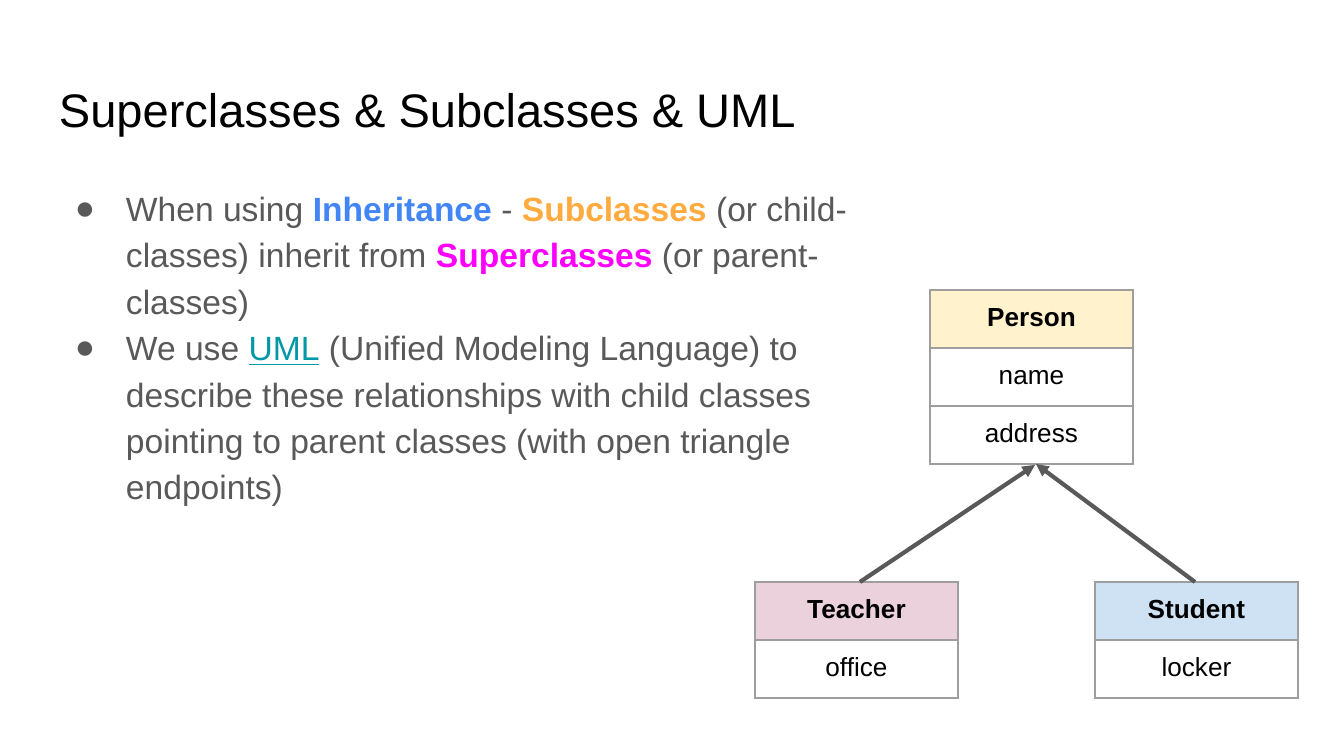
"""Build a slide on superclasses, subclasses and UML class diagrams."""
from lxml.etree import SubElement
from pptx import Presentation
from pptx.dml.color import RGBColor
from pptx.enum.shapes import MSO_CONNECTOR
from pptx.enum.text import MSO_ANCHOR, MSO_AUTO_SIZE, PP_ALIGN
from pptx.oxml.ns import qn
from pptx.util import Emu, Pt

FONT, GREY, BLACK, EDGE = "Arial", "595959", "000000", "9E9E9E"
SCALE = 914400 / 134.4
PAD, WIDE, HIGH = 13, 203, 58

TITLE = "Superclasses & Subclasses & UML"
POINTS = [
    [("When using ", GREY, ""), ("Inheritance", "4285F4", "b"),
     (" - ", GREY, ""), ("Subclasses", "FFAB40", "b"),
     (" (or child-classes) inherit from ", GREY, ""),
     ("Superclasses", "FF00FF", "b"), (" (or parent-classes)", GREY, "")],
    [("We use ", GREY, ""), ("UML", "0097A7", "u"),
     (" (Unified Modeling Language) to describe these relationships with "
      "child classes pointing to parent classes (with open triangle "
      "endpoints)", GREY, "")],
]
CLASSES = [
    (930, 290, "FFF2CC", ["Person", "name", "address"]),
    (1095, 582, "CFE2F3", ["Student", "locker"]),
    (755, 582, "EAD1DC", ["Teacher", "office"]),
]
ARROWS = [(860, 582, 1035, 465), (1195, 582, 1036, 464)]


def px(size):
    return Emu(round(size * SCALE))


def color(code):
    return RGBColor.from_string(code)


def add_run(para, text, size, code, style=""):
    run = para.add_run()
    run.text = text
    font = run.font
    font.name, font.size = FONT, Pt(size)
    font.color.rgb = color(code)
    font.bold, font.underline = "b" in style, "u" in style


def place(holder, left, top, width, height, anchor):
    holder.left, holder.top = px(left), px(top)
    holder.width, holder.height = px(width), px(height)
    frame = holder.text_frame
    frame.auto_size, frame.word_wrap = MSO_AUTO_SIZE.NONE, True
    frame.vertical_anchor = anchor
    frame.margin_left = frame.margin_right = px(PAD)
    frame.margin_top = frame.margin_bottom = px(PAD)
    return frame


def add_bullet(para):
    props = para._p.get_or_add_pPr()
    props.set("marL", str(px(67)))
    props.set("indent", str(px(-51)))
    tint = SubElement(props, qn("a:buClr"))
    SubElement(tint, qn("a:srgbClr"), val=GREY)
    SubElement(props, qn("a:buFont"), typeface=FONT)
    SubElement(props, qn("a:buChar"), char="●")
    para.line_spacing, para.space_before = 1.15, Pt(0)


def add_edges(cell):
    props = cell._tc.get_or_add_tcPr()
    for side in ("lnL", "lnR", "lnT", "lnB"):
        line = SubElement(props, qn(f"a:{side}"), w=str(Pt(0.75)))
        fill = SubElement(line, qn("a:solidFill"))
        SubElement(fill, qn("a:srgbClr"), val=EDGE)


def add_class(slide, left, top, tint, names):
    table = slide.shapes.add_table(
        len(names), 1, px(left), px(top), px(WIDE), px(HIGH * len(names))).table
    table.first_row = table.horz_banding = False
    for row, name in enumerate(names):
        cell = table.cell(row, 0)
        cell.margin_left = cell.margin_right = px(PAD)
        cell.margin_top = cell.margin_bottom = px(PAD)
        add_edges(cell)
        if row == 0:
            cell.fill.solid()
            cell.fill.fore_color.rgb = color(tint)
        else:
            cell.fill.background()
        para = cell.text_frame.paragraphs[0]
        para.alignment = PP_ALIGN.CENTER
        add_run(para, name, 14, BLACK, "" if row else "b")


def add_arrow(slide, *ends):
    arrow = slide.shapes.add_connector(MSO_CONNECTOR.STRAIGHT, *map(px, ends))
    arrow.line.color.rgb, arrow.line.width = color(GREY), Pt(2.25)
    SubElement(arrow.line._get_or_add_ln(), qn("a:tailEnd"), type="triangle")
    SubElement(arrow._element.spPr, qn("a:effectLst"))


def main():
    deck = Presentation()
    deck.slide_width, deck.slide_height = px(1344), px(756)
    slide = deck.slides.add_slide(deck.slide_layouts[1])
    title, body = slide.placeholders

    frame = place(title, 46, 66, 1253, 85, MSO_ANCHOR.MIDDLE)
    para = frame.paragraphs[0]
    para.alignment = PP_ALIGN.LEFT
    add_run(para, TITLE, 25.2, BLACK)

    frame = place(body, 46, 169, 867, 503, MSO_ANCHOR.TOP)
    for row, runs in enumerate(POINTS):
        para = frame.add_paragraph() if row else frame.paragraphs[0]
        add_bullet(para)
        for text, code, style in runs:
            add_run(para, text, 18, code, style)

    for item in CLASSES:
        add_class(slide, *item)
    for ends in ARROWS:
        add_arrow(slide, *ends)
    deck.save("out.pptx")


if __name__ == "__main__":
    main()
